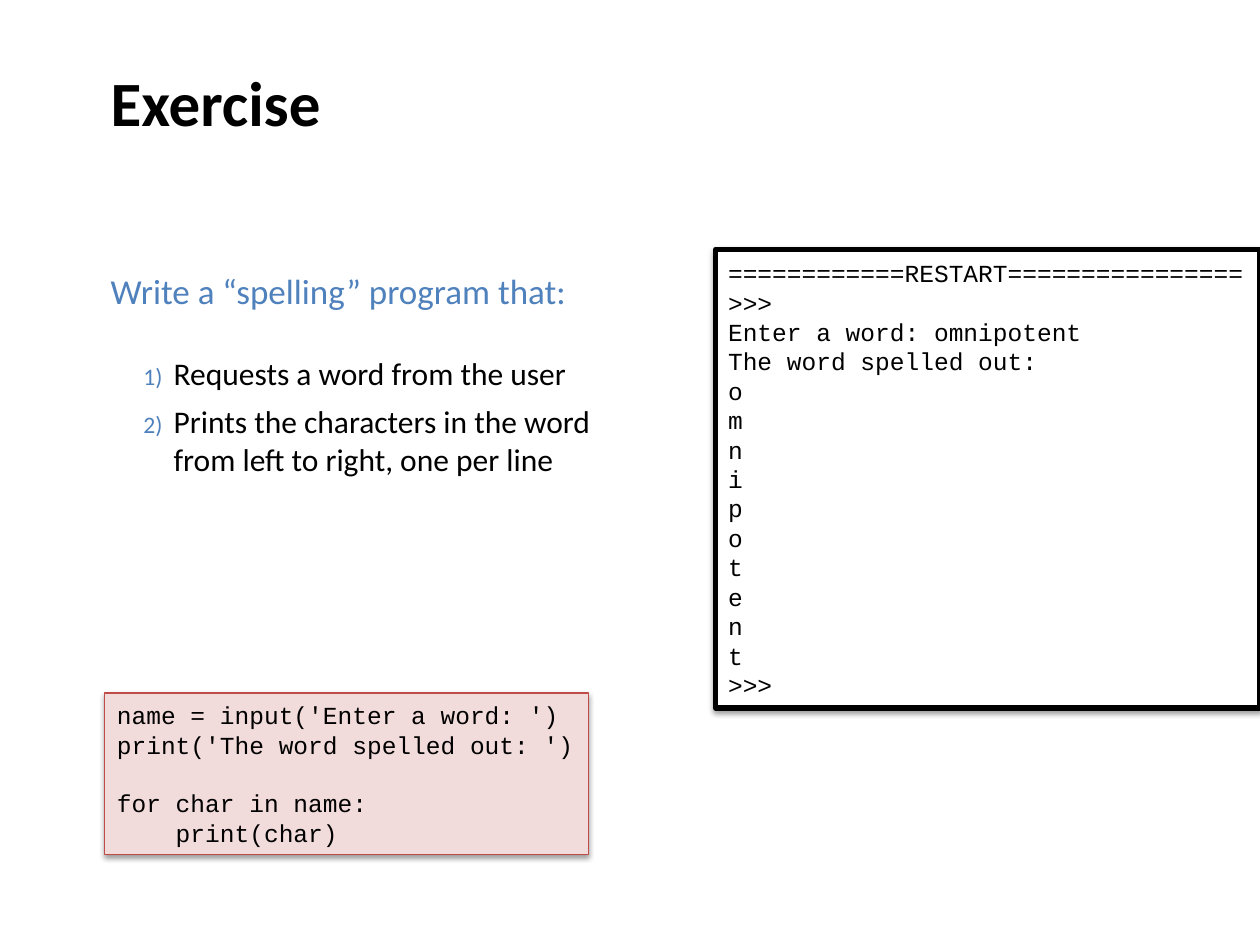
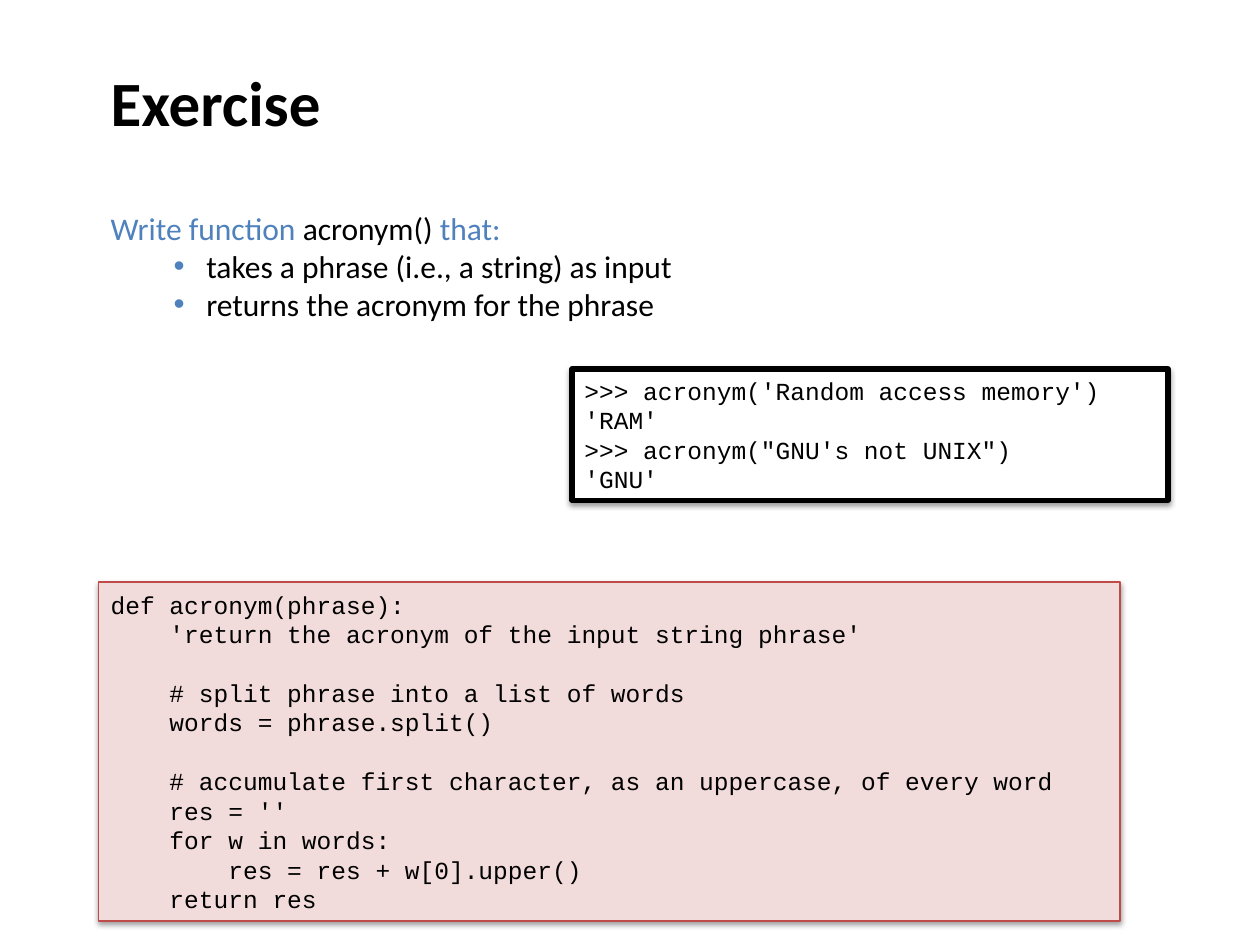
"""Build two programming exercise slides with sample sessions and solutions."""
from dataclasses import dataclass
from lxml import etree
from pptx import Presentation, util as u
from pptx.dml.color import RGBColor
from pptx.enum import shapes, text
from pptx.oxml import ns


@dataclass(frozen=True)
class Theme:
    ink: str = "000000"
    blue: str = "4F81BD"
    pink: str = "F2DCDB"
    red: str = "BF4C48"
    white: str = "FFFFFF"
    sans: str = "Calibri"
    mono: str = "Courier New"
    title: int = 36
    lead: int = 20
    body: int = 18
    code: int = 14
    line: float = 16.8


look = Theme()
rgb = RGBColor.from_string


def write(box, lines, size=look.body, font=look.sans, color=look.ink, bold=False,
          mark=None, scale=100, left=0, hang=0, after=0, more=False, wrap=True, mid=True):
    frame = box.text_frame
    frame.word_wrap = wrap
    frame.vertical_anchor = text.MSO_ANCHOR.MIDDLE if mid else text.MSO_ANCHOR.TOP
    gap = 0
    for line in lines:
        if not line:
            gap += look.line
            continue
        para = frame.add_paragraph() if more else frame.paragraphs[0]
        more = True
        para.alignment = text.PP_ALIGN.LEFT
        props = para._p.get_or_add_pPr()
        props.set("marL", str(u.Inches(left)))
        props.set("indent", str(u.Inches(-hang)))
        if mark:
            tint = etree.SubElement(props, ns.qn("a:buClr"))
            etree.SubElement(tint, ns.qn("a:srgbClr"), val=look.blue)
            etree.SubElement(props, ns.qn("a:buSzPct"), val=str(scale * 1000))
            if mark == "1)":
                etree.SubElement(props, ns.qn("a:buAutoNum"), type="arabicParenR")
            else:
                etree.SubElement(props, ns.qn("a:buFont"), typeface="Arial")
                etree.SubElement(props, ns.qn("a:buChar"), char=mark)
        if gap:
            para.space_before = u.Pt(gap)
            gap = 0
        if after:
            para.space_after = u.Pt(after)
        for words, shade in [(line, color)] if isinstance(line, str) else line:
            run = para.add_run()
            run.text = words
            run.font.name = font
            run.font.size = u.Pt(size)
            run.font.bold = bold
            run.font.color.rgb = rgb(shade)


def panel(slide, area, code, fill, edge, width, wrap=True):
    box = slide.shapes.add_shape(shapes.MSO_SHAPE.RECTANGLE, *map(u.Inches, area))
    box.fill.solid()
    box.fill.fore_color.rgb = rgb(fill)
    box.line.color.rgb = rgb(edge)
    box.line.width = u.Pt(width)
    box.shadow.inherit = False
    effect = box._element.spPr.find(ns.qn("a:effectLst"))
    shade = etree.SubElement(effect, ns.qn("a:outerShdw"), blurRad=str(u.Pt(3.1)),
                             dist=str(u.Pt(1.6)), dir="5400000", rotWithShape="0")
    tint = etree.SubElement(shade, ns.qn("a:srgbClr"), val=look.ink)
    etree.SubElement(tint, ns.qn("a:alpha"), val="38000")
    write(box, code.split("\n"), size=look.code, font=look.mono, wrap=wrap)


shell = dict(fill=look.white, edge=look.ink, width=3)
answer = dict(fill=look.pink, edge=look.red, width=0.75)

deck = Presentation()
deck.slide_width, deck.slide_height = u.Inches(10), u.Inches(7.5)
pages = [deck.slides.add_slide(deck.slide_layouts[6]) for _ in range(2)]
for page in pages:
    head = page.shapes.add_textbox(*map(u.Inches, (0.78, 0, 8.5, 1.61)))
    write(head, ["Exercise"], size=look.title, bold=True)
spell, short = pages

task = spell.shapes.add_textbox(*map(u.Inches, (0.78, 2.08, 4.49, 1.77)))
write(task, ["Write a “spelling” program that:"], size=look.lead, color=look.blue,
      left=0.5, hang=0.5, after=24)
write(task, ["Requests a word from the user",
             "Prints the characters in the word from left to right, one per line"],
      mark="1)", scale=75, left=0.5, hang=0.24, after=6, more=True)

panel(spell, (0.83, 5.5, 3.84, 1.28), """name = input('Enter a word: ')
print('The word spelled out: ')

for char in name:
    print(char)""", wrap=False, **answer)

panel(spell, (5.68, 1.98, 4.32, 3.64), """============RESTART================
>>>
Enter a word: omnipotent
The word spelled out:
o
m
n
i
p
o
t
e
n
t
>>>""", **shell)

panel(short, (4.54, 2.93, 4.73, 1.04), """>>> acronym('Random access memory')
'RAM'
>>> acronym("GNU's not UNIX")
'GNU'""", **shell)

task = short.shapes.add_textbox(*map(u.Inches, (0.78, 1.61, 5.04, 1.01)))
write(task, [[("Write function ", look.blue), ("acronym()", look.ink), (" that:", look.blue)]],
      left=0.5, hang=0.5, mid=False)
write(task, ["takes a phrase (i.e., a string) as input", "returns the acronym for the phrase"],
      mark="•", left=0.76, hang=0.26, more=True, mid=False)

panel(short, (0.78, 4.62, 8.11, 2.69), """def acronym(phrase):
    'return the acronym of the input string phrase'

    # split phrase into a list of words
    words = phrase.split()

    # accumulate first character, as an uppercase, of every word
    res = ''
    for w in words:
        res = res + w[0].upper()
    return res""", **answer)

deck.save("out.pptx")
